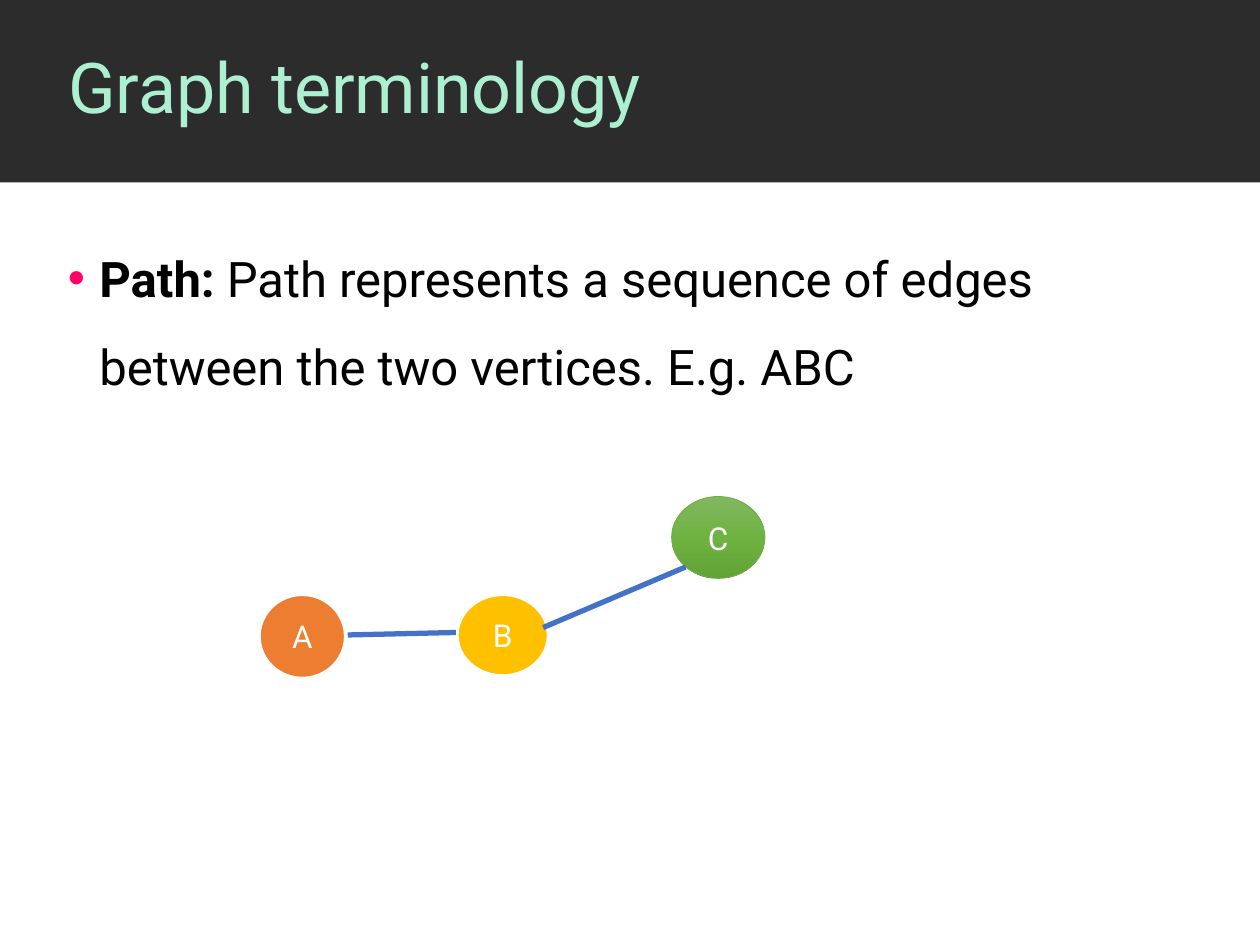
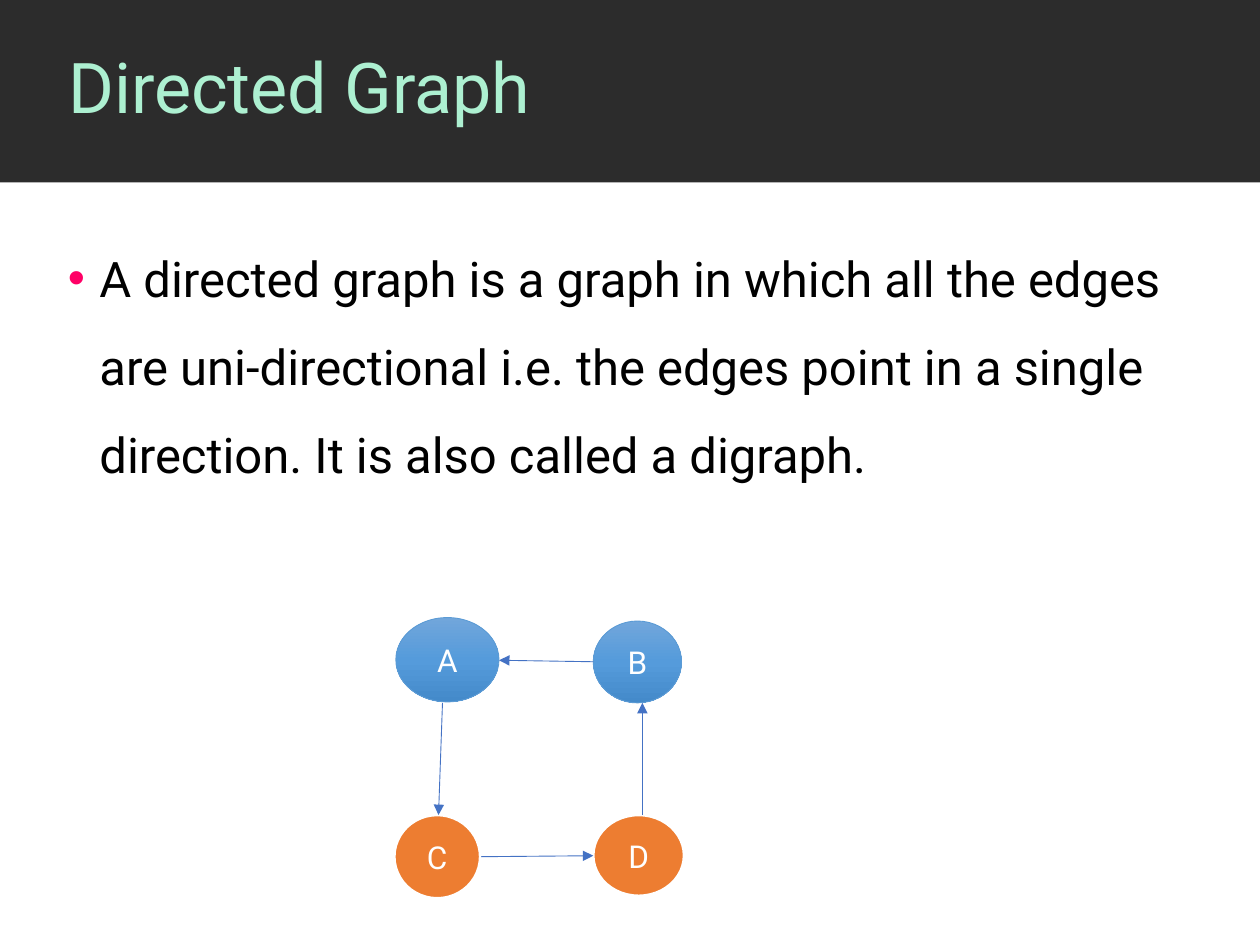
from copy import deepcopy
from dataclasses import dataclass

from lxml import etree
from pptx import Presentation
from pptx import util as u
from pptx.dml.color import RGBColor
from pptx.enum import shapes, text
from pptx.oxml.ns import qn

FONT = "Roboto"
CHARCOAL, MINT, PINK = "2C2C2C", "ADF0D1", "FF0066"
WHITE, BLACK, EDGE_BLUE = "FFFFFF", "000000", "4472C4"


@dataclass(frozen=True)
class NodeStyle:
    fills: tuple[str, ...]  # one colour, or three from top to bottom
    outline: str = WHITE
    outline_pt: float = 1.5


@dataclass(frozen=True)
class Node:
    label: str
    style: NodeStyle
    box: tuple[float, float, float, float]  # left, top, width, height in cm


@dataclass(frozen=True)
class Edge:
    start: tuple[float, float]
    end: tuple[float, float]


@dataclass(frozen=True)
class GraphSlide:
    title: str
    term: str
    definition: str
    nodes: tuple[Node, ...]
    edges: tuple[Edge, ...]
    edge_pt: float
    directed: bool


ORANGE = NodeStyle(("ED7D31",))
YELLOW = NodeStyle(("FFC000",))
GREEN = NodeStyle(("81B861", "6FB242", "62A336"), "70AD47", 0.5)
BLUE = NodeStyle(("71A6DB", "559BDB", "448ACA"), "5B9BD5", 0.5)

SLIDES = (
    GraphSlide(
        "Graph terminology",
        "Path:",
        " Path represents a sequence of edges between the two vertices. E.g. ABC",
        nodes=(
            Node("B", YELLOW, (9.22, 11.99, 1.83, 1.63)),
            Node("A", ORANGE, (5.23, 11.99, 1.73, 1.68)),
            Node("C", GREEN, (13.54, 10.01, 1.88, 1.65)),
        ),
        edges=(
            Edge((9.19, 12.75), (7.01, 12.8)),
            Edge((13.82, 11.43), (10.95, 12.65)),
        ),
        edge_pt=3,
        directed=False,
    ),
    GraphSlide(
        "Directed Graph",
        "",
        "A directed graph is a graph in which all the edges are uni-directional "
        "i.e. the edges point in a single direction. It is also called a digraph.",
        nodes=(
            Node("D", ORANGE, (11.96, 16.43, 1.83, 1.63)),
            Node("B", BLUE, (11.96, 12.52, 1.78, 1.65)),
            Node("C", ORANGE, (7.95, 16.43, 1.73, 1.68)),
            Node("A", BLUE, (7.98, 12.45, 2.08, 1.7)),
        ),
        edges=(
            Edge((12.95, 16.43), (12.95, 14.17)),
            Edge((8.92, 14.17), (8.84, 16.43)),
            Edge((9.7, 17.27), (11.96, 17.25)),
            Edge((11.96, 13.34), (10.06, 13.31)),
        ),
        edge_pt=0.5,
        directed=True,
    ),
)


def rgb(value: str) -> RGBColor:
    return RGBColor.from_string(value)


def cm(*lengths: float) -> list[u.Cm]:
    return [u.Cm(length) for length in lengths]


def apply(target, formats: dict) -> None:
    for name, value in formats.items():
        setattr(target, name, value)


def set_font(font, size: float, colour: str, bold: bool = False) -> None:
    apply(font, {"name": FONT, "size": u.Pt(size), "bold": bold})
    font.color.rgb = rgb(colour)


def add_band(slide) -> None:
    band = slide.shapes.add_shape(shapes.MSO_SHAPE.RECTANGLE, *cm(0, 0, 25.4, 3.68))
    band.shadow.inherit = False
    band.fill.solid()
    band.fill.fore_color.rgb = rgb(CHARCOAL)
    band.line.fill.background()
    # Send the band behind the title
    slide.shapes._spTree.insert(2, band._element)


def set_title(slide, wording: str) -> None:
    title = slide.shapes.title
    left, top, width, height = cm(1.12, 0, 24.28, 3.66)
    apply(title, {"left": left, "top": top, "width": width, "height": height})
    title.text = wording
    apply(title.text_frame, {"vertical_anchor": text.MSO_ANCHOR.MIDDLE,
                             "auto_size": text.MSO_AUTO_SIZE.NONE})
    heading = title.text_frame.paragraphs[0]
    apply(heading, {"alignment": text.PP_ALIGN.LEFT, "line_spacing": 0.9})
    set_font(heading.runs[0].font, 40, MINT)


def add_bullet(paragraph) -> None:
    properties = paragraph._p.get_or_add_pPr()
    indent = u.Cm(0.635)
    properties.set("marL", str(indent))
    properties.set("indent", str(-indent))
    colour = etree.SubElement(properties, qn("a:buClr"))
    etree.SubElement(colour, qn("a:srgbClr"), val=PINK)
    etree.SubElement(properties, qn("a:buFont"), typeface="Arial")
    etree.SubElement(properties, qn("a:buChar"), char="•")


def add_definition(slide, term: str, definition: str) -> None:
    frame = slide.shapes.add_textbox(*cm(1.12, 4.29, 23.7, 14.22)).text_frame
    frame.word_wrap = True
    paragraph = frame.paragraphs[0]
    add_bullet(paragraph)
    paragraph.line_spacing = 1.5
    for wording, bold in ((term, True), (definition, False)):
        if wording:
            run = paragraph.add_run()
            run.text = wording
            set_font(run.font, 28, BLACK, bold)


def fill_node(fill, colours: tuple[str, ...]) -> None:
    if len(colours) == 1:
        fill.solid()
        fill.fore_color.rgb = rgb(colours[0])
        return
    fill.gradient()
    fill.gradient_angle = 270
    first_stop = fill.gradient_stops[0]._gs
    first_stop.addnext(deepcopy(first_stop))
    for index, (stop, colour) in enumerate(zip(fill.gradient_stops, colours)):
        stop.position = index / (len(colours) - 1)
        stop.color.rgb = rgb(colour)


def add_node(slide, node: Node) -> None:
    circle = slide.shapes.add_shape(shapes.MSO_SHAPE.OVAL, *cm(*node.box))
    circle.shadow.inherit = False
    fill_node(circle.fill, node.style.fills)
    circle.line.color.rgb = rgb(node.style.outline)
    circle.line.width = u.Pt(node.style.outline_pt)
    frame = circle.text_frame
    frame.vertical_anchor = text.MSO_ANCHOR.MIDDLE
    label = frame.paragraphs[0]
    label.alignment = text.PP_ALIGN.CENTER
    run = label.add_run()
    run.text = node.label
    set_font(run.font, 18, WHITE)


def add_edge(slide, edge: Edge, width_pt: float, directed: bool) -> None:
    connector = slide.shapes.add_connector(
        shapes.MSO_CONNECTOR.STRAIGHT, *cm(*edge.start, *edge.end))
    connector.line.color.rgb = rgb(EDGE_BLUE)
    connector.line.width = u.Pt(width_pt)
    if directed:
        etree.SubElement(connector.line._get_or_add_ln(), qn("a:tailEnd"), type="triangle")
    etree.SubElement(connector._element.spPr, qn("a:effectLst"))


def build_slide(prs, content: GraphSlide) -> None:
    slide = prs.slides.add_slide(prs.slide_layouts.get_by_name("Title Only"))
    add_band(slide)
    set_title(slide, content.title)
    add_definition(slide, content.term, content.definition)
    for node in content.nodes:
        add_node(slide, node)
    for edge in content.edges:
        add_edge(slide, edge, content.edge_pt, content.directed)


def main() -> None:
    prs = Presentation()
    prs.slide_width, prs.slide_height = cm(25.4, 19.05)
    for content in SLIDES:
        build_slide(prs, content)
    prs.save("out.pptx")


if __name__ == "__main__":
    main()
